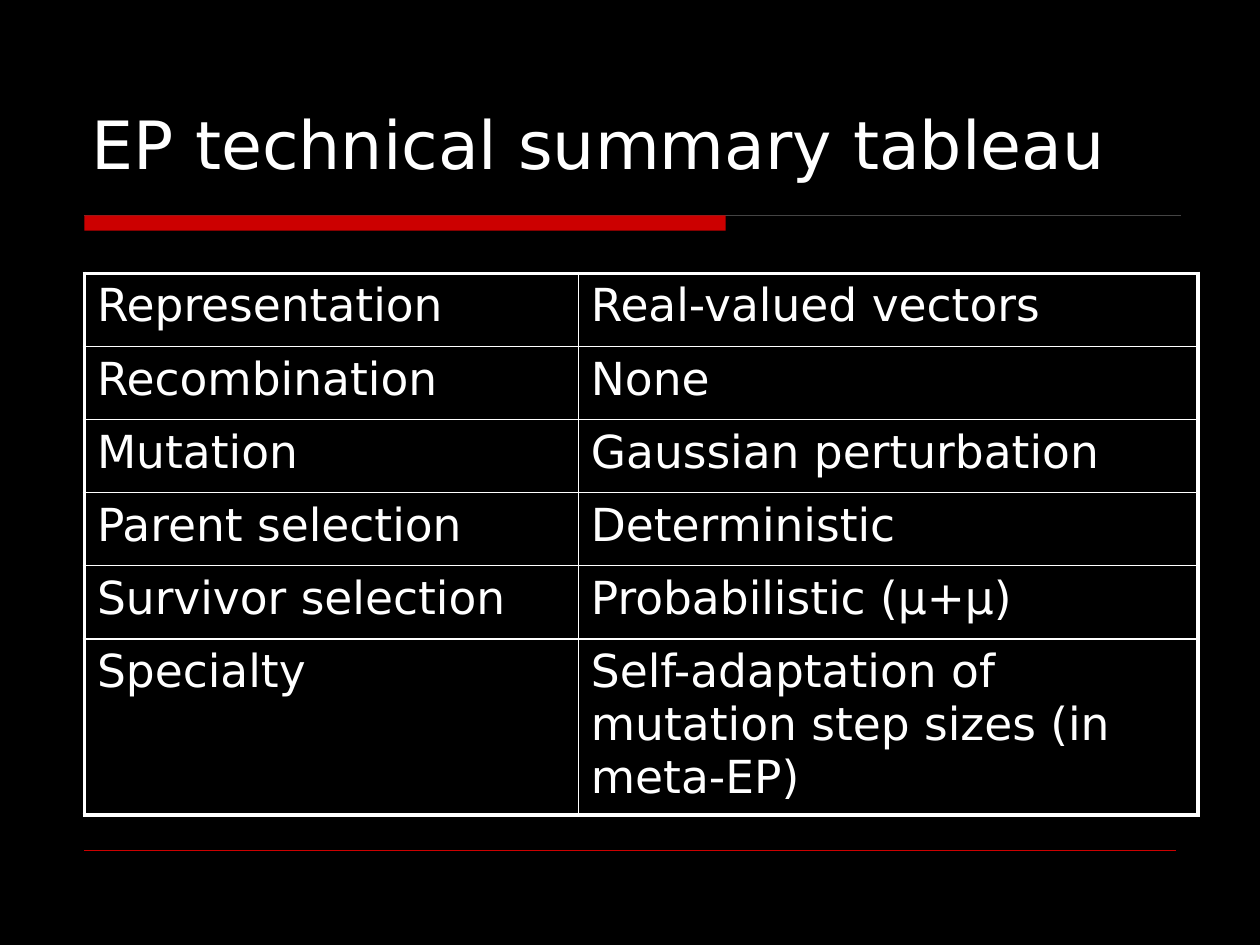
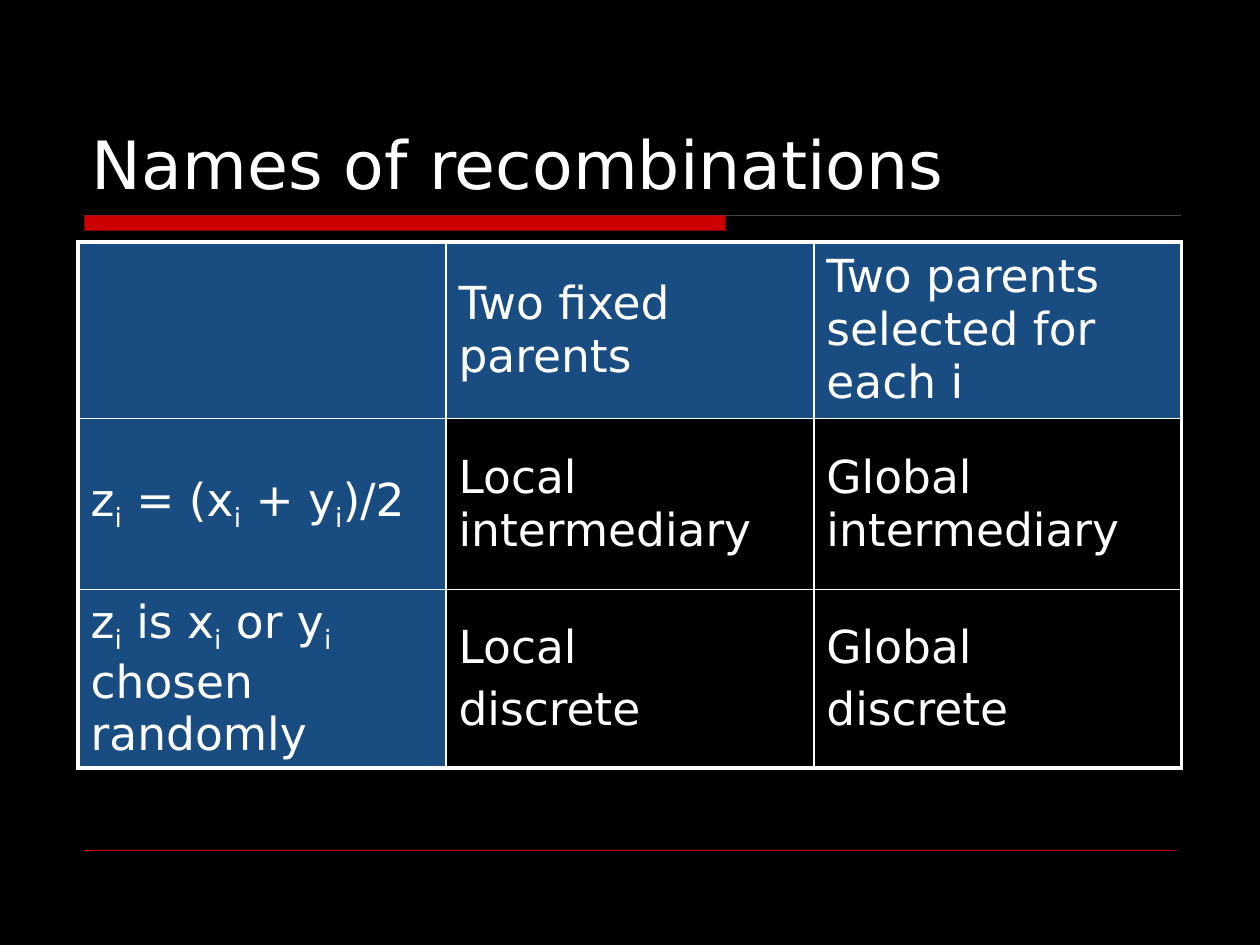
import dataclasses

import lxml.etree
import pptx
import pptx.dml.color
import pptx.enum.shapes
import pptx.enum.text
import pptx.oxml.ns
import pptx.util

Inches = pptx.util.Inches
Anchor = pptx.enum.text.MSO_ANCHOR
qn = pptx.oxml.ns.qn


@dataclasses.dataclass(frozen=True)
class Theme:
    font: str = "DejaVu Sans"
    background: str = "000000"
    text: str = "FFFFFF"
    accent: str = "CC0000"
    rule: str = "444444"
    header: str = "3399FF"
    header_alpha: int = 50
    title_size: float = 38
    table_size: float = 26
    paragraph_gap: float = 5.2
    outer_border: float = 2.25
    inner_border: float = 1


THEME = Theme()

SUMMARY = [
    ["Representation", "Real-valued vectors"],
    ["Recombination", "None"],
    ["Mutation", "Gaussian perturbation"],
    ["Parent selection", "Deterministic"],
    ["Survivor selection", "Probabilistic (μ+μ)"],
    ["Specialty", "Self-adaptation of mutation step sizes (in meta-EP)"],
]

# Text between underscores is set as a subscript
RECOMBINATIONS = [
    ["", "Two fixed parents", "Two parents selected for each i"],
    ["z_i_ = (x_i_ + y_i_)/2", "Local intermediary", "Global intermediary"],
    ["z_i_ is x_i_ or y_i_ chosen randomly", "Local\ndiscrete", "Global\ndiscrete"],
]


def rgb(color):
    return pptx.dml.color.RGBColor.from_string(color)


# Text
def write_text(frame, text, *, size, color=THEME.text, anchor=Anchor.TOP, gap=0):
    """Fill a text frame; each line of the text becomes a paragraph."""
    for index, line in enumerate(text.split("\n")):
        paragraph = frame.paragraphs[0] if index == 0 else frame.add_paragraph()
        paragraph.alignment = pptx.enum.text.PP_ALIGN.LEFT
        paragraph.space_before = pptx.util.Pt(gap if index else 0)
        paragraph.font.size = pptx.util.Pt(size)
        for position, part in enumerate(line.split("_")):
            if not part:
                continue
            run = paragraph.add_run()
            run.text = part
            run.font.name = THEME.font
            run.font.size = pptx.util.Pt(size)
            run.font.color.rgb = rgb(color)
            if position % 2:
                run._r.get_or_add_rPr().set("baseline", "-25000")
    frame.vertical_anchor = anchor


# Shared slide parts
def add_rule(slide, left, right, top, color, width):
    line = slide.shapes.add_connector(
        pptx.enum.shapes.MSO_CONNECTOR.STRAIGHT,
        Inches(left), Inches(top), Inches(right), Inches(top))
    line.line.color.rgb = rgb(color)
    line.line.width = pptx.util.Pt(width)
    lxml.etree.SubElement(line._element.spPr, qn("a:effectLst"))


def add_title_band(slide):
    add_rule(slide, 0.67, 9.37, 1.71, THEME.rule, 0.75)
    band = slide.shapes.add_shape(
        pptx.enum.shapes.MSO_SHAPE.RECTANGLE,
        Inches(0.67), Inches(1.71), Inches(5.09), Inches(0.12))
    band.shadow.inherit = False
    band.fill.solid()
    band.fill.fore_color.rgb = rgb(THEME.accent)
    band.line.fill.background()


def add_titled_slide(presentation, title, title_height):
    slide = presentation.slides.add_slide(presentation.slide_layouts[5])
    add_title_band(slide)
    add_rule(slide, 0.67, 9.33, 6.75, THEME.accent, 0.25)
    shape = slide.shapes.title
    shape.left, shape.top = Inches(0.63), Inches(0.33)
    shape.width, shape.height = Inches(8.75), Inches(title_height)
    shape.text_frame.auto_size = pptx.enum.text.MSO_AUTO_SIZE.NONE
    write_text(shape.text_frame, title, size=THEME.title_size, anchor=Anchor.BOTTOM)
    return slide


# Tables
def fill_header(cell):
    cell.fill.solid()
    cell.fill.fore_color.rgb = rgb(THEME.header)
    color = cell._tc.tcPr.find(".//" + qn("a:srgbClr"))
    alpha = lxml.etree.SubElement(color, qn("a:alpha"))
    alpha.set("val", str(THEME.header_alpha * 1000))


def set_borders(cell, outer_sides):
    """Draw thick lines on the outer sides and thin ones elsewhere."""
    properties = cell._tc.get_or_add_tcPr()
    for index, (side, is_outer) in enumerate(outer_sides.items()):
        width = THEME.outer_border if is_outer else THEME.inner_border
        line = lxml.etree.Element(qn(f"a:ln{side}"), w=str(int(pptx.util.Pt(width))))
        fill = lxml.etree.SubElement(line, qn("a:solidFill"))
        lxml.etree.SubElement(fill, qn("a:srgbClr"), val=THEME.text)
        properties.insert(index, line)


def add_grid(slide, left, top, column_widths, row_heights, content,
             *, anchor=Anchor.TOP, has_headers=False):
    row_count, column_count = len(row_heights), len(column_widths)
    table = slide.shapes.add_table(
        row_count, column_count, Inches(left), Inches(top),
        Inches(sum(column_widths)), Inches(sum(row_heights))).table
    table.first_row = table.horz_banding = False
    for column, width in zip(table.columns, column_widths):
        column.width = Inches(width)
    for row, height in zip(table.rows, row_heights):
        row.height = Inches(height)

    for r, texts in enumerate(content):
        for c, text in enumerate(texts):
            cell = table.cell(r, c)
            write_text(cell.text_frame, text, size=THEME.table_size,
                       gap=THEME.paragraph_gap)
            cell.vertical_anchor = anchor
            if has_headers and (r == 0 or c == 0):
                fill_header(cell)
            else:
                cell.fill.background()
            set_borders(cell, {"L": c == 0, "R": c == column_count - 1,
                               "T": r == 0, "B": r == row_count - 1})


def main():
    presentation = pptx.Presentation()
    presentation.slide_width = Inches(10)
    presentation.slide_height = Inches(7.5)
    background = presentation.slide_master.background.fill
    background.solid()
    background.fore_color.rgb = rgb(THEME.background)

    # Technical summary
    slide = add_titled_slide(presentation, "EP technical summary tableau", 1.17)
    add_grid(slide, 0.67, 2.17, [3.92, 4.92], [0.58] * 5 + [1.4], SUMMARY)

    # Recombination names
    slide = add_titled_slide(presentation, "Names of recombinations", 1.33)
    add_grid(slide, 0.62, 1.92, [2.92] * 3, [1.4, 1.36, 1.4], RECOMBINATIONS,
             anchor=Anchor.MIDDLE, has_headers=True)

    presentation.save("out.pptx")


if __name__ == "__main__":
    main()
